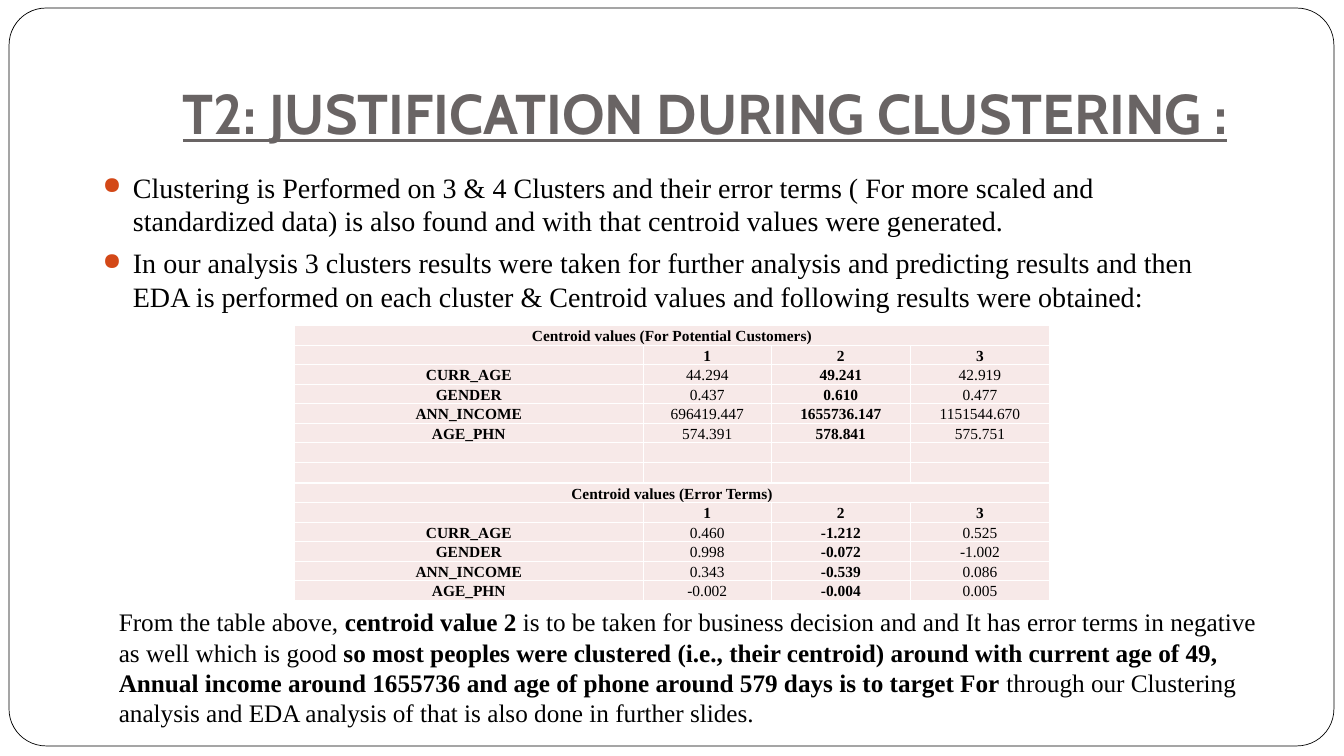
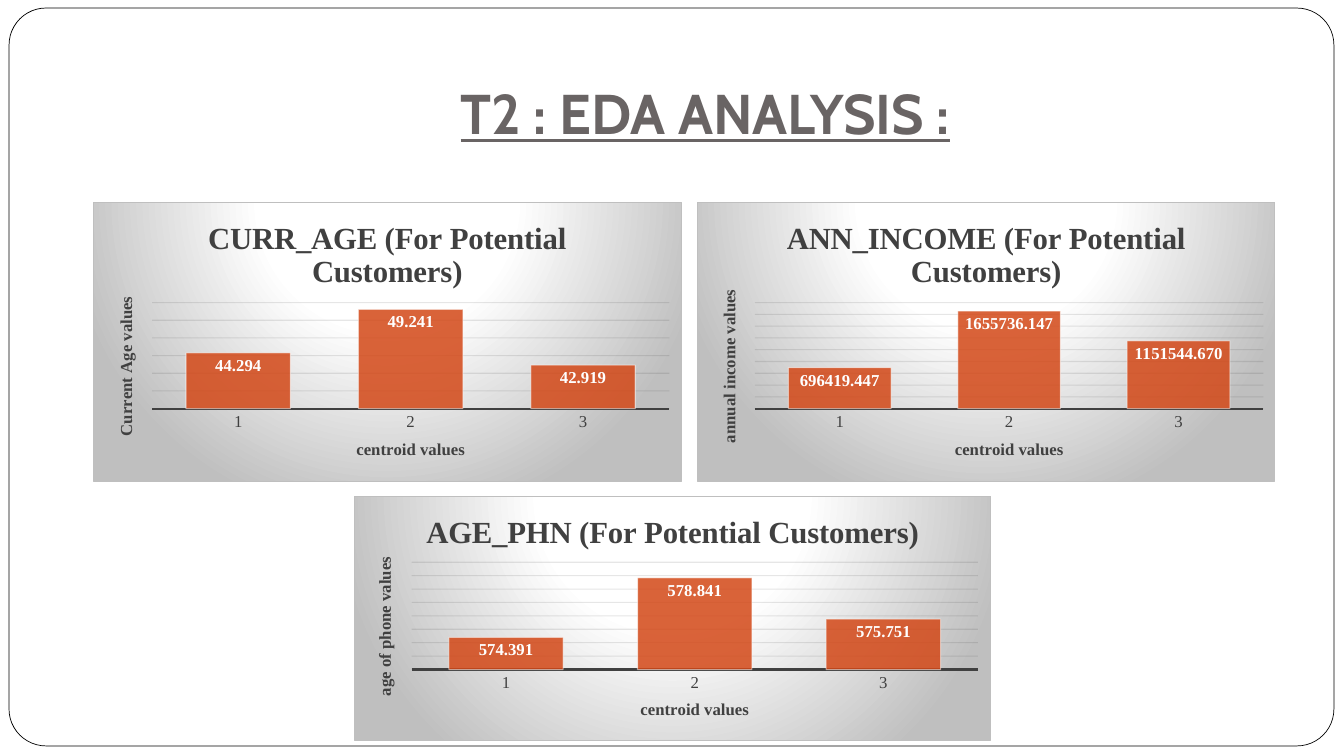
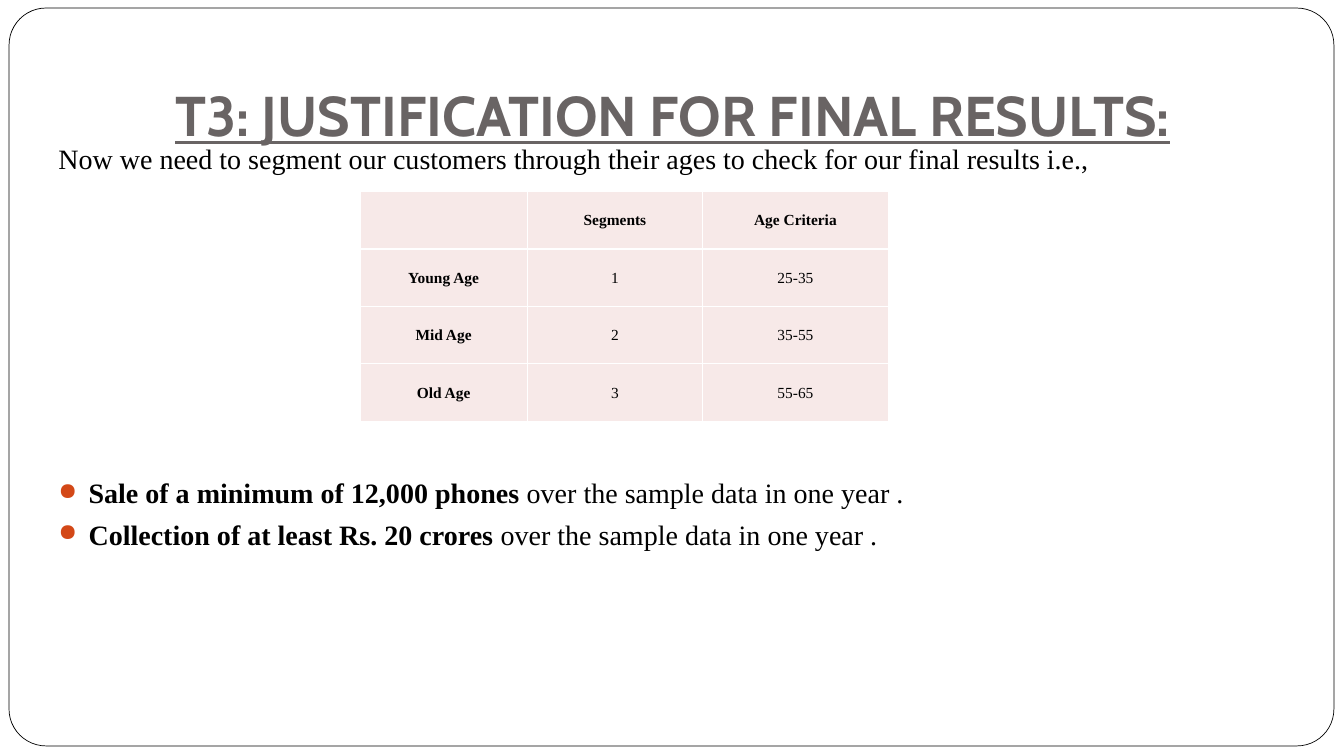
from dataclasses import dataclass
from typing import Any, Optional

from lxml.etree import SubElement
from pptx import Presentation
from pptx.chart.chart import Chart
from pptx.chart.data import CategoryChartData
from pptx.dml.color import RGBColor
from pptx.enum.chart import XL_CHART_TYPE, XL_LABEL_POSITION, XL_TICK_MARK
from pptx.enum.shapes import MSO_SHAPE
from pptx.enum.text import MSO_ANCHOR, MSO_AUTO_SIZE, PP_ALIGN
from pptx.oxml import parse_xml
from pptx.oxml.ns import nsdecls, qn
from pptx.slide import Slide
from pptx.table import _Cell
from pptx.util import Emu, Pt

PX = 9144  # one hundredth of an inch

WHITE = RGBColor(0xFF, 0xFF, 0xFF)
BLACK = RGBColor(0x00, 0x00, 0x00)
TITLE_GREY = RGBColor(0x69, 0x64, 0x64)
CHART_GREY = RGBColor(0x40, 0x40, 0x40)
GRID_BLACK = RGBColor(0x0D, 0x0D, 0x0D)
EDGE_GREY = RGBColor(0xBF, 0xBF, 0xBF)
ORANGE = RGBColor(0xD3, 0x48, 0x17)
CELL_PINK = RGBColor(0xF7, 0xE9, 0xE8)

SERIF = "Times New Roman"
TITLE_FONT = {"name": "Cabin", "size": Pt(40), "bold": True, "underline": True}
BODY_FONT = {"name": SERIF, "size": Pt(20)}
NOTE_FONT = {"name": SERIF, "size": Pt(18)}
CELL_FONT = {"name": SERIF, "size": Pt(11)}
CHART_TITLE_FONT = {"name": SERIF, "size": Pt(22), "bold": True}
AXIS_TITLE_FONT = {"name": SERIF, "size": Pt(12), "bold": True}
TICK_FONT = {"name": SERIF, "size": Pt(12), "bold": False}

INDENT = 30
BULLET_GAP = 5.8


@dataclass(frozen=True)
class Box:
    left: int
    top: int
    width: int
    height: int

    def emu(self) -> tuple[Emu, ...]:
        return tuple(Emu(n * PX) for n in (self.left, self.top, self.width, self.height))


@dataclass(frozen=True)
class Span:
    text: str
    bold: bool = False


@dataclass(frozen=True)
class Para:
    spans: tuple[Span, ...]
    bullet: bool = False
    space_before: float = 0


@dataclass(frozen=True)
class CentroidChart:
    box: Box
    title: str
    value_title: str
    values: tuple[float, ...]
    low: float
    high: float
    step: float
    plot: tuple[float, float, float, float]


TITLE_BOX = Box(133, 30, 1133, 125)
WIDE_PLOT = (0.1, 0.36, 0.88, 0.38)

CENTROID_ROWS = (
    ("Centroid values (For Potential Customers)", "", "", ""),
    ("", "1", "2", "3"),
    ("CURR_AGE", "44.294", "49.241", "42.919"),
    ("GENDER", "0.437", "0.610", "0.477"),
    ("ANN_INCOME", "696419.447", "1655736.147", "1151544.670"),
    ("AGE_PHN", "574.391", "578.841", "575.751"),
    ("", "", "", ""),
    ("", "", "", ""),
    ("Centroid values (Error Terms)", "", "", ""),
    ("", "1", "2", "3"),
    ("CURR_AGE", "0.460", "-1.212", "0.525"),
    ("GENDER", "0.998", "-0.072", "-1.002"),
    ("ANN_INCOME", "0.343", "-0.539", "0.086"),
    ("AGE_PHN", "-0.002", "-0.004", "0.005"),
)

SEGMENT_ROWS = (
    ("", "Segments", "Age Criteria"),
    ("Young Age", "1", "25-35"),
    ("Mid Age", "2", "35-55"),
    ("Old Age", "3", "55-65"),
)

CHARTS = (
    CentroidChart(Box(92, 200, 584, 278), "CURR_AGE (For Potential Customers)",
                  "Current Age values", (44.294, 49.241, 42.919), 38, 50, 2, WIDE_PLOT),
    CentroidChart(Box(691, 200, 574, 278), "ANN_INCOME (For Potential Customers)",
                  "annual income values", (696419.447, 1655736.147, 1151544.670),
                  0, 1800000, 200000, WIDE_PLOT),
    CentroidChart(Box(351, 492, 632, 243), "AGE_PHN (For Potential Customers)",
                  "age of phone values", (574.391, 578.841, 575.751),
                  572, 580, 1, (0.09, 0.27, 0.89, 0.44)),
)


def apply(target: Any, formats: dict[str, Any], color: Optional[RGBColor] = None) -> None:
    """Set each named attribute, and the colour when the target is a font."""
    for name, value in formats.items():
        setattr(target, name, value)
    if color is not None:
        target.color.rgb = color


def add_frame(page: Slide) -> None:
    """Draw the rounded frame and hand it to the layout, so every page shows it."""
    frame = page.shapes.add_shape(MSO_SHAPE.ROUNDED_RECTANGLE, *Box(9, 8, 1314, 732).emu())
    frame.adjustments[0] = 0.05
    frame.shadow.inherit = False
    frame.fill.solid()
    frame.fill.fore_color.rgb = WHITE
    frame.line.color.rgb = BLACK
    frame.line.width = Pt(0.5)
    page.slide_layout.element.cSld.spTree.insert(2, frame.element)


def set_title(page: Slide, text: str, box: Box = TITLE_BOX) -> None:
    title = page.shapes.title
    apply(title, dict(zip(("left", "top", "width", "height"), box.emu())))
    apply(title.text_frame, {
        "word_wrap": True, "auto_size": MSO_AUTO_SIZE.NONE,
        "vertical_anchor": MSO_ANCHOR.BOTTOM, "margin_bottom": Emu(10 * PX),
    })
    paragraph = title.text_frame.paragraphs[0]
    paragraph.alignment = PP_ALIGN.CENTER
    run = paragraph.add_run()
    run.text = text
    apply(run.font, TITLE_FONT, TITLE_GREY)


def add_bullet(paragraph: Any) -> None:
    properties = paragraph._p.get_or_add_pPr()
    properties.set("marL", str(INDENT * PX))
    properties.set("indent", str(-INDENT * PX))
    color = SubElement(properties, qn("a:buClr"))
    SubElement(color, qn("a:srgbClr"), val=str(ORANGE))
    SubElement(properties, qn("a:buSzPct"), val="85000")
    SubElement(properties, qn("a:buChar"), char="●")


def add_text(page: Slide, box: Box, paras: tuple[Para, ...], font: dict[str, Any]) -> None:
    frame = page.shapes.add_textbox(*box.emu()).text_frame
    frame.word_wrap = True
    for index, para in enumerate(paras):
        paragraph = frame.add_paragraph() if index else frame.paragraphs[0]
        paragraph.space_before = Pt(para.space_before)
        if para.bullet:
            add_bullet(paragraph)
        for span in para.spans:
            run = paragraph.add_run()
            run.text = span.text
            apply(run.font, {**font, "bold": span.bold}, BLACK)


def fill_cell(cell: _Cell, text: str, bold: bool, anchor: MSO_ANCHOR) -> None:
    apply(cell, {
        "vertical_anchor": anchor, "margin_left": Emu(PX), "margin_right": Emu(PX),
        "margin_top": Emu(PX), "margin_bottom": Emu(0),
    })
    properties = cell._tc.get_or_add_tcPr()
    for side in ("a:lnL", "a:lnR", "a:lnT", "a:lnB"):
        border = SubElement(properties, qn(side), w=str(Pt(1)))
        SubElement(SubElement(border, qn("a:solidFill")), qn("a:srgbClr"), val=str(WHITE))
    cell.fill.solid()
    cell.fill.fore_color.rgb = CELL_PINK
    paragraph = cell.text_frame.paragraphs[0]
    paragraph.alignment = PP_ALIGN.CENTER
    if text:
        run = paragraph.add_run()
        run.text = text
        apply(run.font, {**CELL_FONT, "bold": bold}, BLACK)
    else:
        SubElement(paragraph._p, qn("a:endParaRPr"), sz="1100")


def add_grid(page: Slide, box: Box, rows: tuple[tuple[str, ...], ...], widths: tuple[int, ...],
             heights: list[int], headings: tuple[int, ...], bold_columns: tuple[int, ...],
             anchor: MSO_ANCHOR) -> Any:
    """Draw a table whose heading rows and chosen columns are bold."""
    table = page.shapes.add_table(len(rows), len(widths), *box.emu()).table
    apply(table, {"first_row": False, "horz_banding": False})
    for column, width in zip(table.columns, widths):
        column.width = Emu(width * PX)
    for row, height in zip(table.rows, heights):
        row.height = Emu(height * PX)
    for r, texts in enumerate(rows):
        for c, text in enumerate(texts):
            fill_cell(table.cell(r, c), text, r in headings or c in bold_columns, anchor)
    return table


def set_alpha(chart: Chart, colors: str, percent: int) -> None:
    for color in chart.element.xpath(colors):
        SubElement(color, qn("a:alpha"), val=str(percent * 1000))


def set_plot_layout(chart: Chart, plot: tuple[float, float, float, float]) -> None:
    area = chart.element.xpath("c:chart/c:plotArea")[0]
    for layout in area.xpath("c:layout"):
        area.remove(layout)
    layout = parse_xml(f'<c:layout {nsdecls("c")}><c:manualLayout/></c:layout>')
    manual = layout[0]
    SubElement(manual, qn("c:layoutTarget"), val="inner")
    for name in ("xMode", "yMode"):
        SubElement(manual, qn(f"c:{name}"), val="edge")
    for name, value in zip("xywh", plot):
        SubElement(manual, qn(f"c:{name}"), val=str(value))
    area.insert(0, layout)


def set_chart_background(chart: Chart) -> None:
    stops = "".join(
        f'<a:gs pos="{place * 1000}"><a:srgbClr val="{color}"/></a:gs>'
        for place, color in ((0, WHITE), (39, WHITE), (100, EDGE_GREY))
    )
    background = parse_xml(
        f'<c:spPr {nsdecls("c", "a")}><a:gradFill><a:gsLst>{stops}</a:gsLst>'
        '<a:path path="circle"><a:fillToRect l="50000" t="-80000" r="50000" b="180000"/></a:path>'
        f'</a:gradFill><a:ln w="{Pt(0.75)}"><a:solidFill><a:srgbClr val="{EDGE_GREY}"/>'
        '</a:solidFill></a:ln></c:spPr>'
    )
    chart.element.xpath("c:chart")[0].addnext(background)


def set_chart_title(owner: Any, text: str, font: dict[str, Any]) -> None:
    """Title a chart or an axis."""
    title = owner.chart_title if isinstance(owner, Chart) else owner.axis_title
    run = title.text_frame.paragraphs[0].add_run()
    run.text = text
    apply(run.font, font, CHART_GREY)


def add_centroid_chart(page: Slide, item: CentroidChart) -> None:
    data = CategoryChartData(number_format="0.000")
    data.categories = ("1", "2", "3")
    data.add_series("Series 1", item.values)
    chart = page.shapes.add_chart(XL_CHART_TYPE.COLUMN_CLUSTERED, *item.box.emu(), data).chart
    chart.has_legend = False
    apply(chart.font, {"name": SERIF, "size": Pt(10)}, BLACK)
    set_chart_title(chart, item.title, CHART_TITLE_FONT)

    categories, values = chart.category_axis, chart.value_axis
    set_chart_title(categories, "centroid values", AXIS_TITLE_FONT)
    set_chart_title(values, item.value_title, AXIS_TITLE_FONT)
    categories.major_tick_mark = XL_TICK_MARK.NONE
    apply(categories.tick_labels.font, TICK_FONT, CHART_GREY)
    apply(values, {
        "visible": False, "has_major_gridlines": True, "minimum_scale": item.low,
        "maximum_scale": item.high, "major_unit": item.step,
    })

    plot = chart.plots[0]
    apply(plot, {"gap_width": 65, "vary_by_categories": False, "has_data_labels": True})
    labels = plot.data_labels
    apply(labels, {
        "show_value": True, "position": XL_LABEL_POSITION.INSIDE_END,
        "number_format": "0.000", "number_format_is_linked": False,
    })
    apply(labels.font, {**TICK_FONT, "bold": True}, WHITE)
    bars = plot.series[0].format
    bars.fill.solid()
    bars.fill.fore_color.rgb = ORANGE
    for line, color, width in ((bars.line, WHITE, 0.75),
                               (categories.format.line, CHART_GREY, 1.5),
                               (values.major_gridlines.format.line, GRID_BLACK, 0.75)):
        line.color.rgb = color
        line.width = Pt(width)

    set_alpha(chart, ".//c:ser/c:spPr/a:solidFill/a:srgbClr", 85)
    set_alpha(chart, ".//c:ser/c:spPr/a:ln/a:solidFill/a:srgbClr", 50)
    set_alpha(chart, ".//c:majorGridlines//a:srgbClr", 10)
    set_plot_layout(chart, item.plot)
    set_chart_background(chart)


def build_clustering(page: Slide) -> None:
    set_title(page, "T2: JUSTIFICATION DURING CLUSTERING :")
    points = (
        "Clustering is Performed on 3 & 4 Clusters and their error terms ( For more scaled and "
        "standardized data) is also found and with that centroid values were generated.",
        "In our analysis 3 clusters results were taken for further analysis and predicting results "
        "and then EDA is performed on each cluster & Centroid values and following results were "
        "obtained:",
    )
    add_text(page, Box(92, 164, 1150, 155),
             tuple(Para((Span(point),), True, BULLET_GAP) for point in points), BODY_FONT)
    heights = [18 if any(row) else 20 for row in CENTROID_ROWS]
    headings = (0, 1, 8, 9)
    table = add_grid(page, Box(292, 323, 749, sum(heights)), CENTROID_ROWS, (346, 127, 138, 138),
                     heights, headings, (0, 2), MSO_ANCHOR.BOTTOM)
    for row in headings[::2]:
        table.cell(row, 0).merge(table.cell(row, 3))
    add_text(page, Box(108, 597, 1150, 131), (Para((
        Span("From the table above, "),
        Span("centroid value 2", True),
        Span(" is to be taken for business decision and and It has error terms in negative as "
             "well which is good "),
        Span("so most peoples were clustered (i.e., their centroid) around with current age of "
             "49, Annual income around 1655736 and age of phone around 579 days is to target For",
             True),
        Span(" through our Clustering analysis and EDA analysis of that is also done in further "
             "slides."),
    )),), NOTE_FONT)


def build_analysis(page: Slide) -> None:
    set_title(page, "T2 : EDA ANALYSIS :")
    for item in CHARTS:
        add_centroid_chart(page, item)


def build_results(page: Slide) -> None:
    set_title(page, "T3: JUSTIFICATION FOR FINAL RESULTS:", Box(92, 12, 1150, 145))
    ending = Span(" over the sample data in one year .")
    add_text(page, Box(48, 135, 1265, 603), (
        Para((Span("Now we need to segment our customers through their ages to check for our "
                   "final results i.e.,"),)),
        Para((Span("Sale of a minimum of 12,000 phones", True), ending), True, 215),
        Para((Span("Collection of at least Rs. 20 crores", True), ending), True, BULLET_GAP),
    ), BODY_FONT)
    add_grid(page, Box(357, 190, 524, 228), SEGMENT_ROWS, (166, 174, 184),
             [57] * len(SEGMENT_ROWS), (0,), (0,), MSO_ANCHOR.MIDDLE)


def main() -> None:
    deck = Presentation()
    deck.slide_width, deck.slide_height = Emu(1333 * PX), Emu(750 * PX)
    title_only = deck.slide_layouts[5]
    for index, build in enumerate((build_clustering, build_analysis, build_results)):
        page = deck.slides.add_slide(title_only)
        if index == 0:
            add_frame(page)
        build(page)
    deck.save("out.pptx")


if __name__ == "__main__":
    main()
